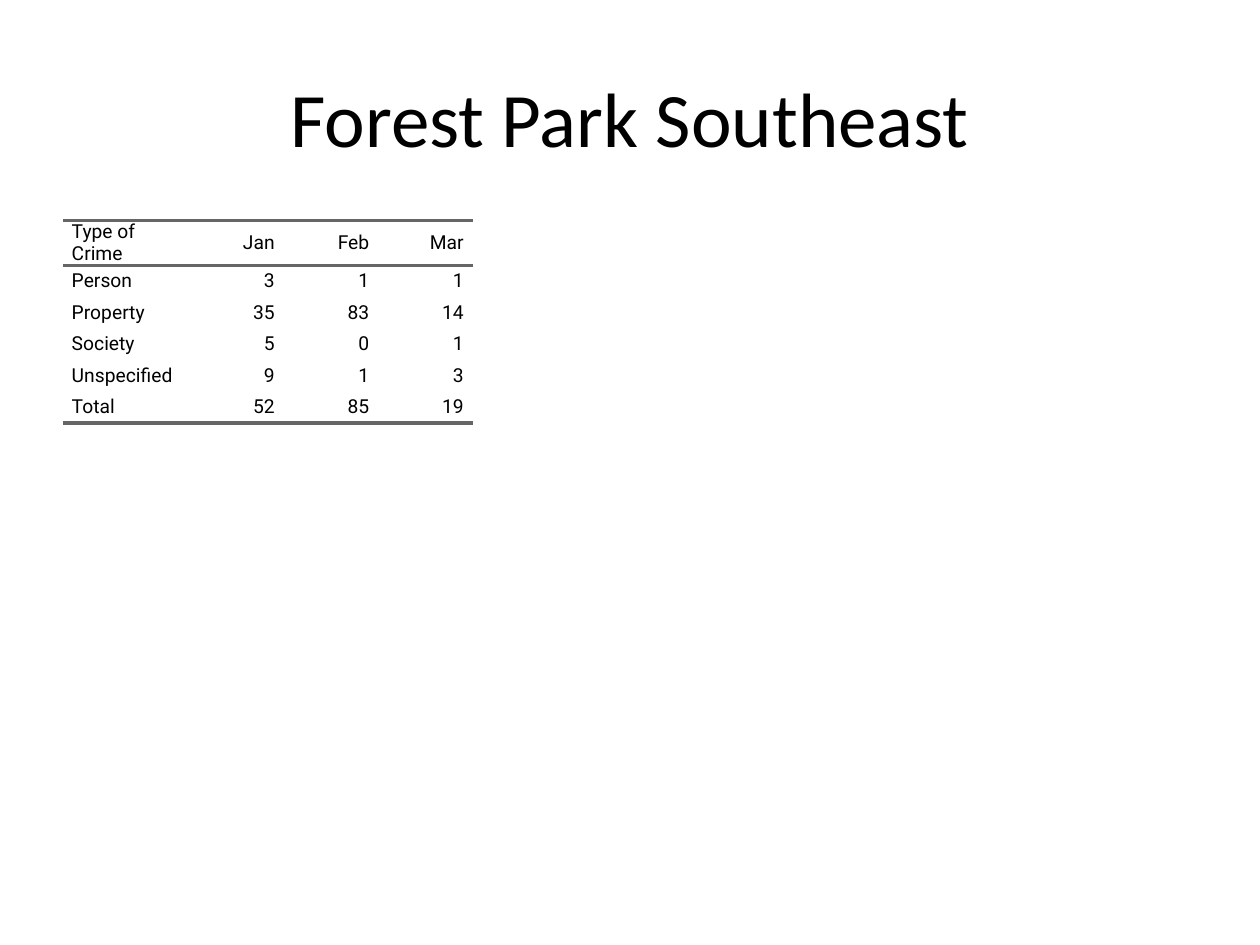
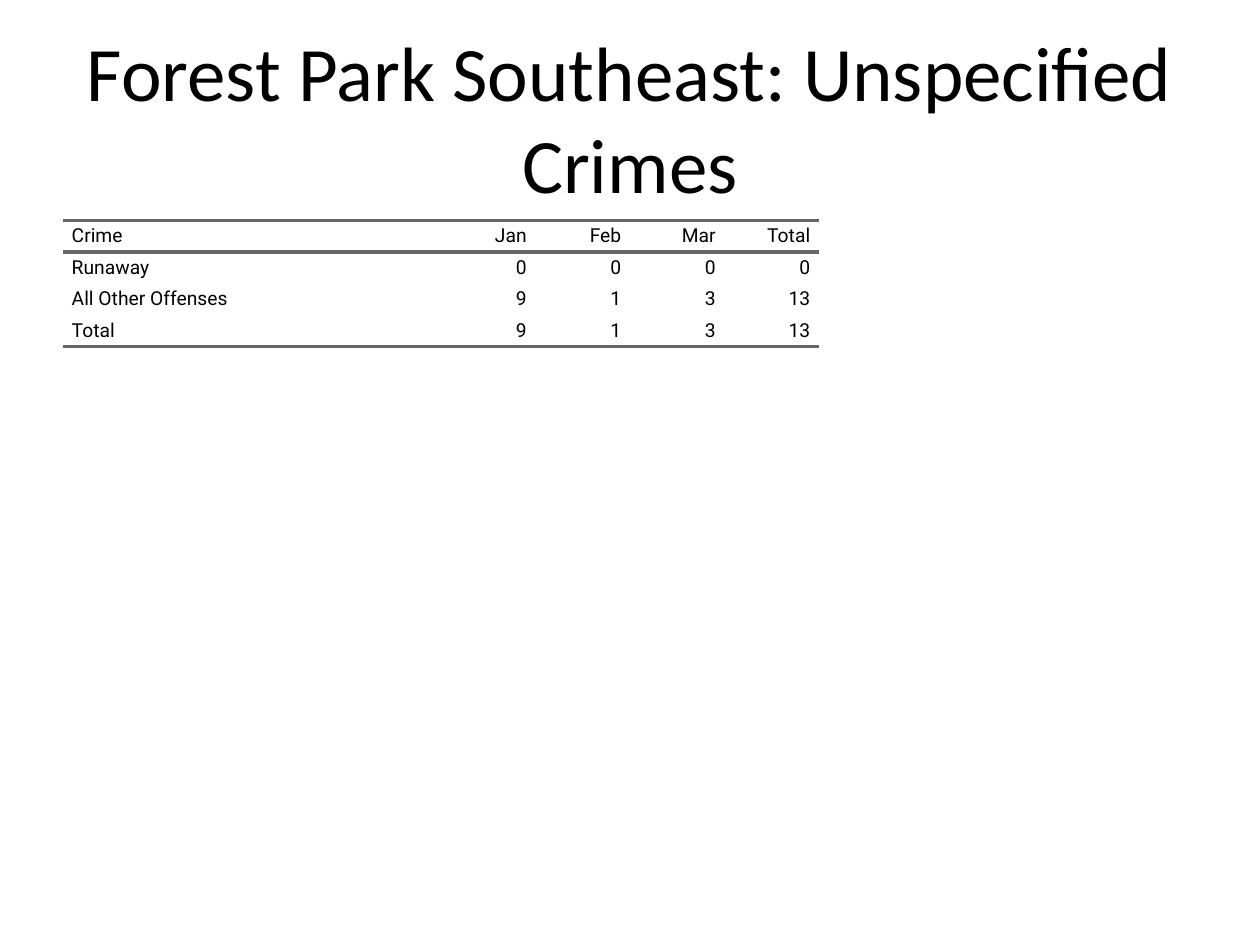
"""Build two slides of crime counts for Forest Park Southeast."""
from lxml import etree
from pptx import Presentation
from pptx.dml.color import RGBColor
from pptx.enum.text import MSO_ANCHOR, MSO_AUTO_SIZE, PP_ALIGN
from pptx.oxml.ns import qn
from pptx.util import Pt

LEFT, RIGHT, CENTER = PP_ALIGN.LEFT, PP_ALIGN.RIGHT, PP_ALIGN.CENTER
MIDDLE = MSO_ANCHOR.MIDDLE
NO_FIT = MSO_AUTO_SIZE.NONE
TITLE_ONLY = 5
PLAIN_TABLE = "{2D5ABB26-0587-4C30-8999-92F81FD0307C}"
BLACK, RULE_GRAY = "000000", "666666"
ROW_HEIGHT, MONTH_WIDTH, INDENT = 18, 54, 5

TABLES = [
    ("Forest Park Southeast", 72, [
        ("Type of Crime", "Jan", "Feb", "Mar"),
        ("Person", 3, 1, 1),
        ("Property", 35, 83, 14),
        ("Society", 5, 0, 1),
        ("Unspecified", 9, 1, 3),
        ("Total", 52, 85, 19),
    ]),
    ("Forest Park Southeast: Unspecified Crimes", 216, [
        ("Crime", "Jan", "Feb", "Mar", "Total"),
        ("Runaway", 0, 0, 0, 0),
        ("All Other Offenses", 9, 1, 3, 13),
        ("Total", 9, 1, 3, 13),
    ]),
]


def write(frame, text, font, size, align, color=BLACK, indent=0, after=0):
    para = frame.paragraphs[0]
    para.alignment = align
    para.space_after = Pt(after)
    properties = para._p.get_or_add_pPr()
    for side in ("marL", "marR"):
        properties.set(side, str(Pt(indent)))
    span = para.add_run()
    span.text = text
    span.font.name = font
    span.font.size = Pt(size)
    span.font.color.rgb = RGBColor.from_string(color)


def add_rules(cell, edges, color=RULE_GRAY, width=2):
    for position, edge in enumerate(edges):
        line = etree.Element(qn(f"a:{edge}"), w=str(Pt(width)))
        fill = etree.SubElement(line, qn("a:solidFill"))
        etree.SubElement(fill, qn("a:srgbClr"), val=color)
        cell._tc.get_or_add_tcPr().insert(position, line)


deck = Presentation()
deck.slide_width, deck.slide_height = Pt(720), Pt(540)

for heading, label_width, rows in TABLES:
    page = deck.slides.add_slide(deck.slide_layouts[TITLE_ONLY])
    title = page.shapes.title
    title.left, title.top, title.width, title.height = Pt(36), Pt(21.6), Pt(648), Pt(90)
    title.text_frame.auto_size = NO_FIT
    title.text_frame.vertical_anchor = MIDDLE
    write(title.text_frame, heading, "Calibri", 44, CENTER)

    widths = [label_width] + [MONTH_WIDTH] * (len(rows[0]) - 1)
    box = page.shapes.add_table(len(rows), len(widths), Pt(36), Pt(126),
                                Pt(sum(widths)), Pt(ROW_HEIGHT * len(rows)))
    for style in box.element.iter(qn("a:tableStyleId")):
        style.text = PLAIN_TABLE
    table = box.table
    table.horz_banding = False
    for column, width in zip(table.columns, widths):
        column.width = Pt(width)

    for row_index, values in enumerate(rows):
        table.rows[row_index].height = Pt(ROW_HEIGHT)
        for column_index, value in enumerate(values):
            cell = table.cell(row_index, column_index)
            cell.margin_left = cell.margin_right = Pt(0)
            cell.margin_top = cell.margin_bottom = Pt(0)
            cell.vertical_anchor = MIDDLE
            cell.fill.background()
            write(cell.text_frame, str(value), "Roboto", 11,
                  RIGHT if column_index else LEFT, indent=INDENT, after=5)
            if row_index == 0:
                add_rules(cell, ["lnT", "lnB"])
            elif row_index == len(rows) - 1:
                add_rules(cell, ["lnB"])

deck.save("out.pptx")
